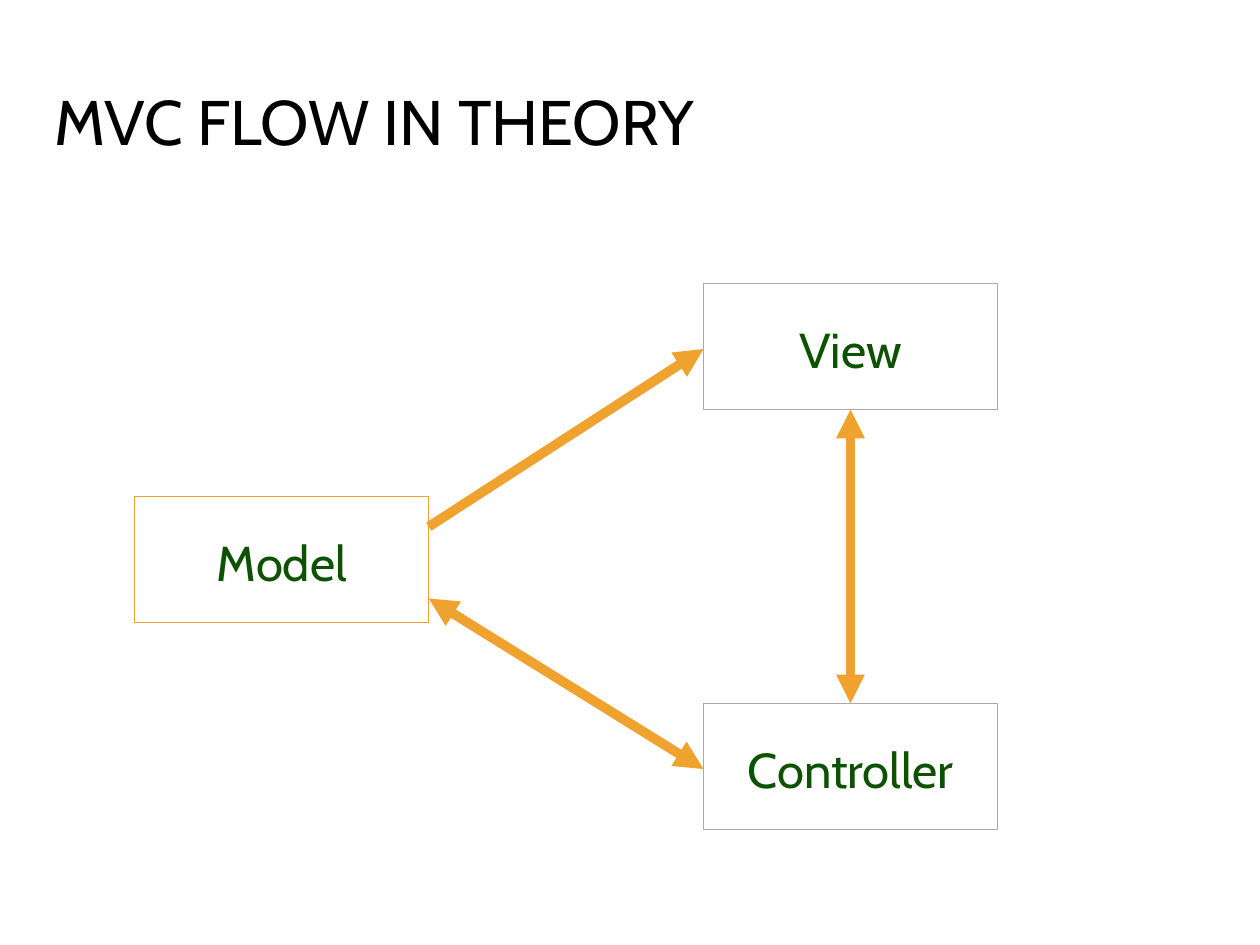
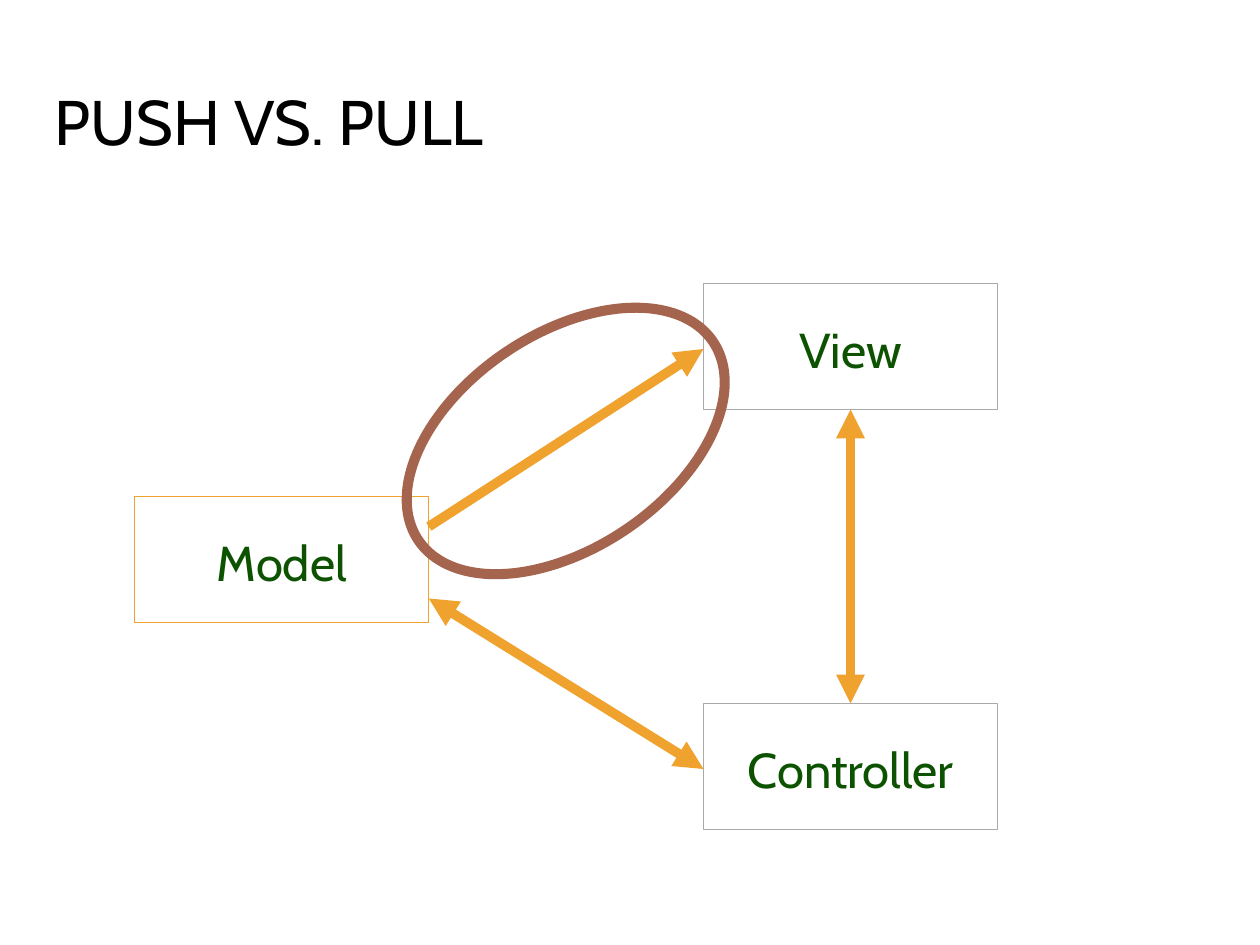
import pptx
import pptx.dml.color
import pptx.enum.shapes
import pptx.enum.text
import pptx.util
from pptx.oxml.ns import qn
from lxml import etree

COLUMNS, ROWS = 120, 90
BOX_WIDTH, BOX_HEIGHT = 28, 12
MODEL = (12.84, 47.28)
VIEW = (67, 27)
CONTROLLER = (67, 67)


def colour(hex_string):
    return pptx.dml.color.RGBColor.from_string(hex_string)


def on_edge(box, across, down):
    """Grid point at the given shares of a box's width and height."""
    return box[0] + across * BOX_WIDTH, box[1] + down * BOX_HEIGHT


class Diagram:
    """Holds the shared style and the slide being drawn."""
    font = "Cabin"
    black, green, white = "000000", "0C5201", "FFFFFF"
    orange, grey, brown = "F0A22E", "AAAAAA", "A5644E"

    def __init__(self, deck):
        self.deck = deck
        self.slide = None

    def place(self, column, row):
        """Turn grid units, as a position or a size, into lengths."""
        return (round(self.deck.slide_width * column / COLUMNS),
                round(self.deck.slide_height * row / ROWS))

    def set_text(self, shape, text, size, hex_string, alignment):
        frame = shape.text_frame
        frame.text = text
        frame.word_wrap = True
        para = frame.paragraphs[0]
        para.alignment = alignment
        font = para.runs[0].font
        font.name, font.size = self.font, pptx.util.Pt(size)
        font.color.rgb = colour(hex_string)
        return frame

    def stroke(self, line, hex_string, width):
        line.color.rgb = colour(hex_string)
        line.width = pptx.util.Pt(width)

    def new_slide(self, title):
        self.slide = self.deck.slides.add_slide(self.deck.slide_layouts[5])
        heading = self.slide.shapes.title
        heading.left, heading.top = self.place(4, 6)
        heading.width, heading.height = self.place(114, 11)
        frame = self.set_text(heading, title, 36, self.black,
                              pptx.enum.text.PP_ALIGN.LEFT)
        frame.vertical_anchor = pptx.enum.text.MSO_ANCHOR.MIDDLE

    def box(self, label, corner, outline):
        """Draw a framed component with its label as one group."""
        group = self.slide.shapes.add_group_shape()
        frame = group.shapes.add_shape(
            pptx.enum.shapes.MSO_SHAPE.RECTANGLE,
            *self.place(*corner), *self.place(BOX_WIDTH, BOX_HEIGHT))
        frame.shadow.inherit = False
        frame.fill.solid()
        frame.fill.fore_color.rgb = colour(self.white)
        self.stroke(frame.line, outline, 0.5)
        caption = group.shapes.add_textbox(
            *self.place(*on_edge(corner, 0, 0.24)),
            *self.place(BOX_WIDTH, 0.56 * BOX_HEIGHT))
        text_frame = self.set_text(caption, label, 28, self.green,
                                   pptx.enum.text.PP_ALIGN.CENTER)
        text_frame.auto_size = pptx.enum.text.MSO_AUTO_SIZE.SHAPE_TO_FIT_TEXT

    def arrow(self, start, end, both_ways=True):
        connector = self.slide.shapes.add_connector(
            pptx.enum.shapes.MSO_CONNECTOR.STRAIGHT,
            *self.place(*start), *self.place(*end))
        self.stroke(connector.line, self.orange, 5.5)
        properties = connector.element.spPr
        line = properties.find(qn("a:ln"))
        for tip in ("a:headEnd", "a:tailEnd") if both_ways else ("a:tailEnd",):
            etree.SubElement(line, qn(tip), type="triangle")
        etree.SubElement(properties, qn("a:effectLst"))

    def ring(self, corner, size, rotation):
        ellipse = self.slide.shapes.add_shape(
            pptx.enum.shapes.MSO_SHAPE.OVAL,
            *self.place(*corner), *self.place(*size))
        ellipse.rotation = rotation
        ellipse.shadow.inherit = False
        ellipse.fill.background()
        self.stroke(ellipse.line, self.brown, 5.75)

    def mvc_flow(self, title):
        """Start a slide with the three components and their arrows."""
        self.new_slide(title)
        self.box("Model", MODEL, self.orange)
        self.box("View", VIEW, self.grey)
        self.box("Controller", CONTROLLER, self.grey)
        self.arrow(on_edge(MODEL, 1, 0.24), on_edge(VIEW, 0, 0.52),
                   both_ways=False)
        self.arrow(on_edge(CONTROLLER, 0, 0.52), on_edge(MODEL, 1, 0.81))
        self.arrow(on_edge(CONTROLLER, 0.5, 0), on_edge(VIEW, 0.5, 1))


def main():
    deck = pptx.Presentation()
    deck.slide_width = pptx.util.Inches(10)
    deck.slide_height = pptx.util.Inches(7.5)
    diagram = Diagram(deck)
    diagram.mvc_flow("MVC FLOW IN THEORY")
    diagram.mvc_flow("PUSH VS. PULL")
    diagram.ring((43.68, 25.08), (20.4, 33.84), 56)
    deck.save("out.pptx")


if __name__ == "__main__":
    main()
